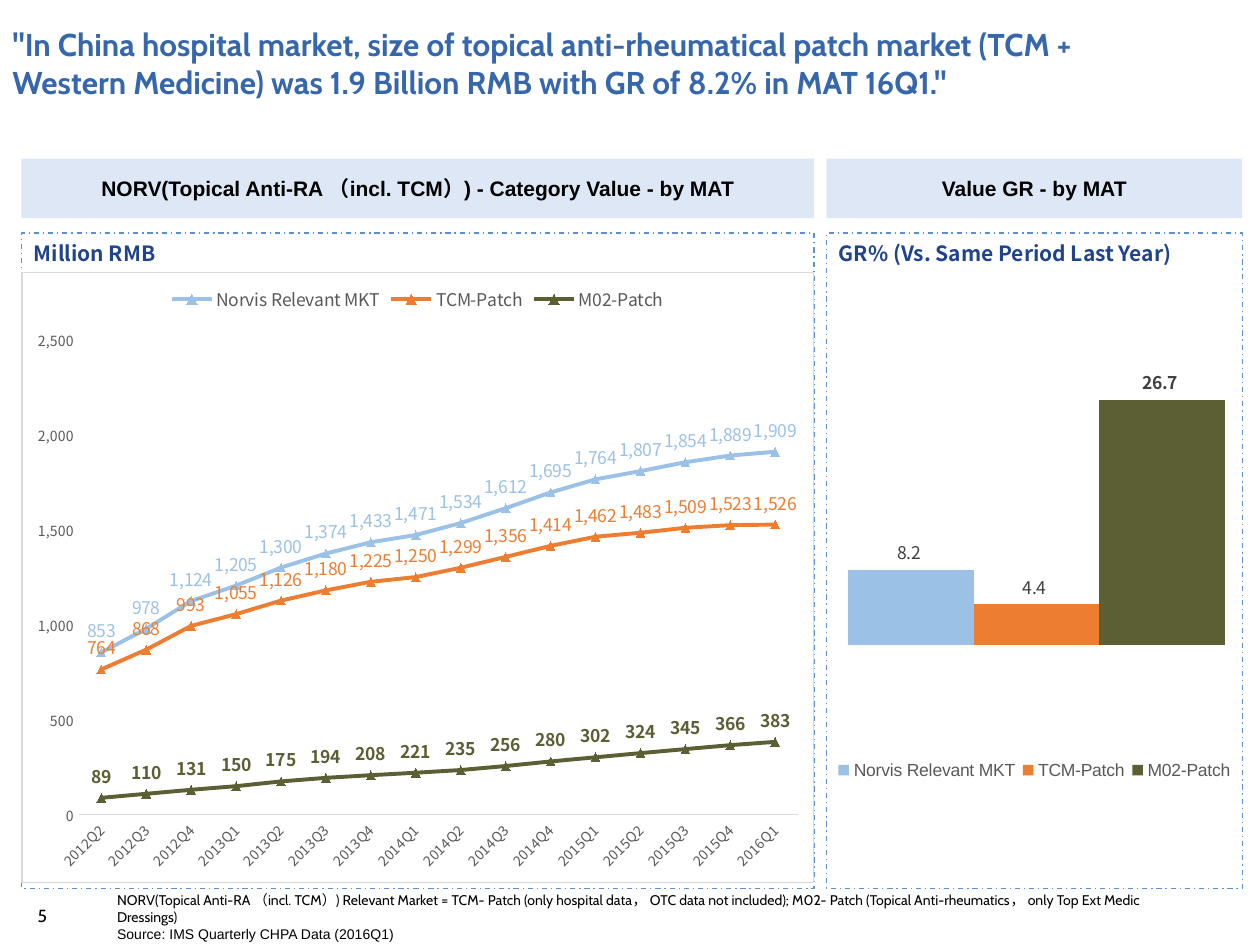
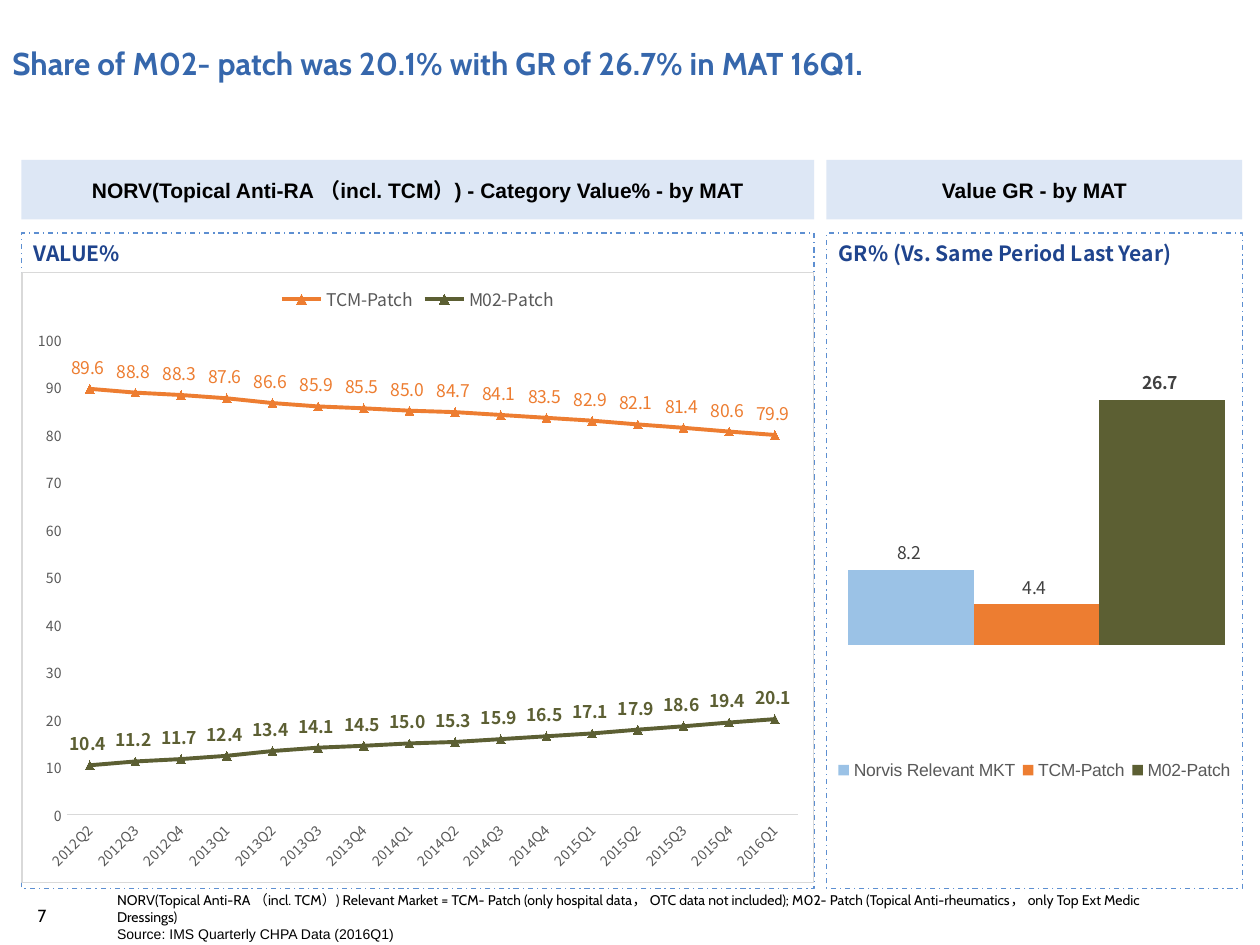
import lxml.etree
import pptx
import pptx.chart.data
import pptx.dml.color
import pptx.enum.chart
import pptx.enum.dml
import pptx.enum.shapes
import pptx.enum.text
import pptx.oxml
import pptx.oxml.ns
import pptx.util

Pt = pptx.util.Pt
ANCHOR = pptx.enum.text.MSO_ANCHOR
qn = pptx.oxml.ns.qn

COLORS = {
    "title": "3667AC", "band": "ABC5E7", "unit": "1F448D", "panel": "5D8FD1",
    "black": "000000", "axis": "595959", "rule": "D9D9D9", "label": "404040",
    "Norvis Relevant MKT": "9BC2E6", "TCM-Patch": "ED7D31", "M02-Patch": "5C5F33",
}
HEAD_FONT, BODY_FONT, CHART_FONT = "Cabin", "Arial", "Noto Sans CJK SC"

LEFT_PANEL, RIGHT_PANEL = (12.25, 453), (472.3, 237.6)
PANEL_TOP, PANEL_HEIGHT = 133.2, 374.4
CHART_TOP, CHART_HEIGHT = 155.5, 349.2

EMPHASIS = "M02-Patch"
WHOLE, DECIMAL = "#,##0", "#,##0.0_ "
QUARTERS = [f"{year}Q{quarter}" for year in range(2012, 2017) for quarter in range(1, 5)][1:17]
GROWTH = {"Norvis Relevant MKT": [8.2], "TCM-Patch": [4.4], "M02-Patch": [26.7]}
MARKET = "NORV(Topical Anti-RA （incl. TCM）)"
DEFINITION = (MARKET + " Relevant Market = TCM- Patch (only hospital data， OTC data not included); "
              "M02- Patch (Topical Anti-rheumatics， only Top Ext Medic Dressings)")
SOURCE = "Source: IMS Quarterly CHPA Data (2016Q1)"

PAGES = [
    {
        "number": "5", "band_top": 90.7, "unit": "Million RMB", "measure": "Category Value",
        "title": "\"In China hospital market, size of topical anti-rheumatical patch market "
                 "(TCM + Western Medicine) was 1.9 Billion RMB with GR of 8.2% in MAT 16Q1.\"",
        "maximum": 2500, "step": 500, "format": WHOLE,
        "series": {
            "Norvis Relevant MKT": [853, 978, 1124, 1205, 1300, 1374, 1433, 1471,
                                    1534, 1612, 1695, 1764, 1807, 1854, 1889, 1909],
            "TCM-Patch": [764, 868, 993, 1055, 1126, 1180, 1225, 1250,
                          1299, 1356, 1414, 1462, 1483, 1509, 1523, 1526],
            "M02-Patch": [89, 110, 131, 150, 175, 194, 208, 221,
                          235, 256, 280, 302, 324, 345, 366, 383],
        },
    },
    {
        "number": "7", "band_top": 91.4, "unit": "VALUE%", "measure": "Category Value%",
        "title": "Share of M02- patch was 20.1% with GR of 26.7% in MAT 16Q1.",
        "maximum": 100, "step": 10, "format": DECIMAL,
        "series": {
            "TCM-Patch": [89.6, 88.8, 88.3, 87.6, 86.6, 85.9, 85.5, 85,
                          84.7, 84.1, 83.5, 82.9, 82.1, 81.4, 80.6, 79.9],
            "M02-Patch": [10.4, 11.2, 11.7, 12.4, 13.4, 14.1, 14.5, 15,
                          15.3, 15.9, 16.5, 17.1, 17.9, 18.6, 19.4, 20.1],
        },
    },
]


def rgb(name):
    """Return the named colour."""
    return pptx.dml.color.RGBColor.from_string(COLORS[name])


def style_font(font, size, color, name, bold=False):
    """Set the size, colour, typeface and weight of a font."""
    font.size, font.name, font.bold = Pt(size), name, bold
    font.color.rgb = rgb(color)


def add_text(page, text, place, size, color, name, bold=False, anchor=ANCHOR.TOP):
    """Add a wrapping text box at (left, top, width, height)."""
    box = page.shapes.add_textbox(*map(Pt, place))
    frame = box.text_frame
    frame.word_wrap = True
    frame.vertical_anchor = anchor
    frame.text = text
    style_font(frame.paragraphs[0].runs[0].font, size, color, name, bold)


def add_rectangle(page, panel, top, height):
    """Add a shadowless rectangle spanning a panel's width."""
    left, width = panel
    box = page.shapes.add_shape(pptx.enum.shapes.MSO_SHAPE.RECTANGLE,
                                *map(Pt, (left, top, width, height)))
    box.shadow.inherit = False
    return box


def add_band(page, panel, top, text):
    """Add a translucent heading band above a panel."""
    box = add_rectangle(page, panel, top, 34)
    box.fill.solid()
    box.fill.fore_color.rgb = rgb("band")
    color = box.fill._xPr.find(".//" + qn("a:srgbClr"))
    lxml.etree.SubElement(color, qn("a:alpha")).set("val", "40000")
    box.line.fill.background()
    frame = box.text_frame
    frame.word_wrap = False
    frame.vertical_anchor = ANCHOR.MIDDLE
    frame.text = text
    para = frame.paragraphs[0]
    para.alignment = pptx.enum.text.PP_ALIGN.CENTER
    style_font(para.runs[0].font, 12, "black", BODY_FONT, True)


def add_panel(page, panel, unit):
    """Add a dash-dot frame with its unit label."""
    left, width = panel
    add_text(page, unit, (left, 134, width, 21.6), 12, "unit", CHART_FONT, True)
    box = add_rectangle(page, panel, PANEL_TOP, PANEL_HEIGHT)
    box.fill.background()
    box.line.color.rgb = rgb("panel")
    box.line.width = Pt(0.75)
    box.line.dash_style = pptx.enum.dml.MSO_LINE.DASH_DOT


def add_chart(page, panel, kind, categories, series, number_format):
    """Add a chart filling a panel, with fonts and axes common to both kinds."""
    data = pptx.chart.data.CategoryChartData(number_format=number_format)
    data.categories = categories
    for name, values in series.items():
        data.add_series(name, values)
    left, width = panel
    chart = page.shapes.add_chart(kind, *map(Pt, (left, CHART_TOP, width, CHART_HEIGHT)), data).chart
    chart.has_title = False
    style_font(chart.font, 10, "black", CHART_FONT)
    chart.plots[0].vary_by_categories = False
    chart.value_axis.has_major_gridlines = False
    chart.value_axis.minimum_scale = 0
    return chart


def add_legend(chart, position, name):
    """Show the legend outside the plot."""
    chart.has_legend = True
    chart.legend.position = position
    chart.legend.include_in_layout = False
    style_font(chart.legend.font, 10, "axis", name)


def label_series(series, position, color, number_format):
    """Show value labels, bold for the emphasised series."""
    labels = series.data_labels
    labels.show_value = True
    labels.position = position
    labels.number_format = number_format
    labels.number_format_is_linked = False
    style_font(labels.font, 10, color, CHART_FONT, series.name == EMPHASIS)


def layout_xml(x, y, width, height, target=""):
    """Build a manual chart layout from fractions of the chart."""
    inner = f'<c:layoutTarget val="{target}"/>' if target else ""
    return pptx.oxml.parse_xml(
        f'<c:layout {pptx.oxml.ns.nsdecls("c")}><c:manualLayout>{inner}'
        '<c:xMode val="edge"/><c:yMode val="edge"/>'
        f'<c:x val="{x}"/><c:y val="{y}"/><c:w val="{width}"/><c:h val="{height}"/>'
        '</c:manualLayout></c:layout>')


def add_border(chart):
    """Outline the chart area."""
    border = pptx.oxml.parse_xml(
        f'<c:spPr {pptx.oxml.ns.nsdecls("c", "a")}><a:noFill/><a:ln w="9525"><a:solidFill>'
        f'<a:srgbClr val="{COLORS["rule"]}"/></a:solidFill></a:ln></c:spPr>')
    chart._chartSpace.find(qn("c:chart")).addnext(border)


def add_trend_chart(page, content):
    """Add the quarterly line chart."""
    kinds = pptx.enum.chart
    chart = add_chart(page, LEFT_PANEL, kinds.XL_CHART_TYPE.LINE_MARKERS,
                      QUARTERS, content["series"], content["format"])
    add_legend(chart, kinds.XL_LEGEND_POSITION.TOP, CHART_FONT)
    add_border(chart)
    for axis in (chart.category_axis, chart.value_axis):
        axis.major_tick_mark = axis.minor_tick_mark = kinds.XL_TICK_MARK.NONE
        style_font(axis.tick_labels.font, 8, "axis", CHART_FONT)
    chart.category_axis.format.line.color.rgb = rgb("rule")
    chart.category_axis.format.line.width = Pt(0.75)
    chart.category_axis._element.find(".//" + qn("a:bodyPr")).set("rot", "-2700000")
    axis = chart.value_axis
    axis.format.line.fill.background()
    axis.maximum_scale, axis.major_unit = content["maximum"], content["step"]
    axis.tick_labels.number_format = WHOLE
    axis.tick_labels.number_format_is_linked = False
    for series in chart.plots[0].series:
        series.smooth = False
        series.format.line.color.rgb = rgb(series.name)
        series.format.line.width = Pt(2.25)
        marker = series.marker
        marker.style, marker.size = kinds.XL_MARKER_STYLE.TRIANGLE, 5
        marker.format.fill.solid()
        marker.format.fill.fore_color.rgb = rgb(series.name)
        marker.format.line.color.rgb = rgb(series.name)
        label_series(series, kinds.XL_LABEL_POSITION.ABOVE, series.name, content["format"])


def add_growth_chart(page):
    """Add the growth-rate column chart."""
    kinds = pptx.enum.chart
    chart = add_chart(page, RIGHT_PANEL, kinds.XL_CHART_TYPE.COLUMN_CLUSTERED,
                      ["1"], GROWTH, DECIMAL)
    add_legend(chart, kinds.XL_LEGEND_POSITION.BOTTOM, BODY_FONT)
    chart.category_axis.visible = chart.value_axis.visible = False
    chart.value_axis.maximum_scale = 30
    plot = chart.plots[0]
    plot.gap_width, plot.overlap = 1, 0
    for series in plot.series:
        series.format.fill.solid()
        series.format.fill.fore_color.rgb = rgb(series.name)
        label_series(series, kinds.XL_LABEL_POSITION.OUTSIDE_END, "label", DECIMAL)
    area = chart._chartSpace.find(".//" + qn("c:plotArea"))
    for old in area.findall(qn("c:layout")):
        area.remove(old)
    area.insert(0, layout_xml(0.05, 0.16, 0.91, 0.45, "inner"))
    legend = chart.legend._element
    for old in legend.findall(qn("c:layout")):
        legend.remove(old)
    legend.find(qn("c:legendPos")).addnext(layout_xml(0.01, 0.79, 0.98, 0.05))


def add_footer(page, number):
    """Add the page number, market definition and source."""
    add_text(page, number, (14.4, 513.4, 45, 19.4), 10, "black", HEAD_FONT, anchor=ANCHOR.MIDDLE)
    add_text(page, DEFINITION, (59.8, 512.6, 599, 13), 8, "black", HEAD_FONT, anchor=ANCHOR.MIDDLE)
    add_text(page, SOURCE, (59.8, 525.6, 599, 17), 8, "black", BODY_FONT)


def add_page(deck, content):
    """Add one slide pairing a trend panel with a growth panel."""
    page = deck.slides.add_slide(deck.slide_layouts[6])
    add_text(page, content["title"], (0, 0, 641.5, 72), 18, "title", HEAD_FONT, True, ANCHOR.MIDDLE)
    add_band(page, LEFT_PANEL, content["band_top"], f"{MARKET} - {content['measure']} - by MAT")
    add_band(page, RIGHT_PANEL, content["band_top"], "Value GR - by MAT")
    add_panel(page, LEFT_PANEL, content["unit"])
    add_panel(page, RIGHT_PANEL, "GR% (Vs. Same Period Last Year)")
    add_footer(page, content["number"])
    add_trend_chart(page, content)
    add_growth_chart(page)


def main():
    """Build and save the deck."""
    deck = pptx.Presentation()
    deck.slide_width, deck.slide_height = Pt(720), Pt(540)
    for content in PAGES:
        add_page(deck, content)
    deck.save("out.pptx")


if __name__ == "__main__":
    main()
